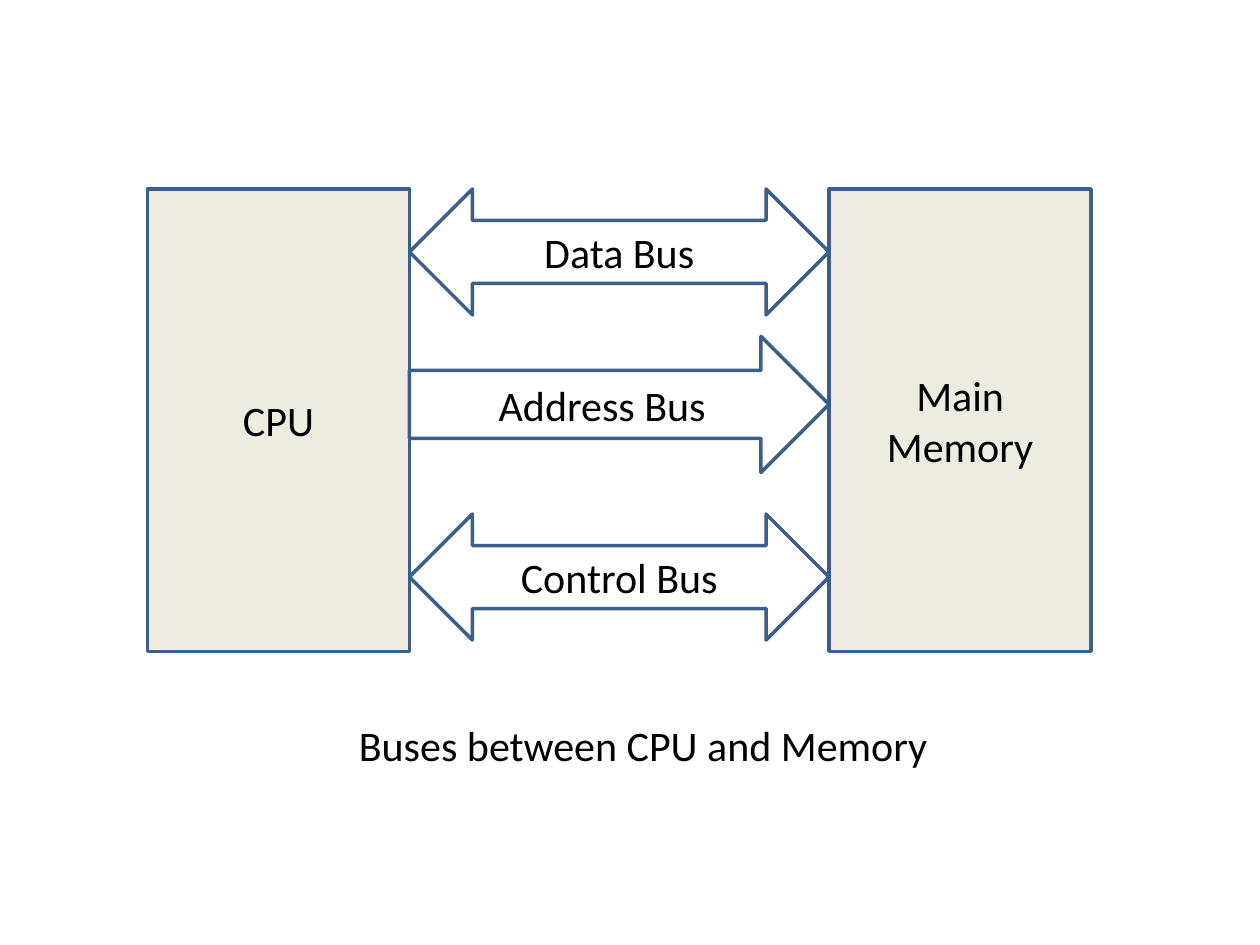
from pptx import Presentation
from pptx.dml.color import RGBColor
from pptx.enum.shapes import MSO_SHAPE as Preset
from pptx.enum.text import MSO_ANCHOR as Anchor, MSO_AUTO_SIZE as AutoSize, PP_ALIGN as Align
from pptx.util import Inches, Pt


def color(hex_string):
    return RGBColor.from_string(hex_string)


def write(shape, text, align=Align.CENTER, anchor=Anchor.MIDDLE, size=24, ink="000000"):
    frame = shape.text_frame
    frame.word_wrap = True
    frame.vertical_anchor = anchor
    paragraph = frame.paragraphs[0]
    paragraph.alignment = align
    run = paragraph.add_run()
    run.text = text
    run.font.name = "Calibri"
    run.font.size = Pt(size)
    run.font.color.rgb = color(ink)


presentation = Presentation()
presentation.slide_width = Inches(10)
presentation.slide_height = Inches(7.5)
slide = presentation.slides.add_slide(presentation.slide_layouts[6])

# Columns: CPU, buses, memory
top = 1.5
block_width, block_height, bus_width = 2.08, 3.67, 3.33
cpu_left = 1.17
bus_left = cpu_left + block_width
memory_left = bus_left + bus_width

# Blocks and the buses between them
parts = [
    ("CPU", Preset.RECTANGLE, cpu_left, top, block_width, block_height, "EEECE1"),
    ("Main Memory", Preset.RECTANGLE, memory_left, top, block_width, block_height, "EEECE1"),
    ("Data Bus", Preset.LEFT_RIGHT_ARROW, bus_left, top, bus_width, 1, "FFFFFF"),
    ("Control Bus", Preset.LEFT_RIGHT_ARROW, bus_left, 4.08, bus_width, 1, "FFFFFF"),
    ("Address Bus", Preset.RIGHT_ARROW, bus_left, 2.67, bus_width, 1.08, "FFFFFF"),
]
for label, preset, *box, fill in parts:
    shape = slide.shapes.add_shape(preset, *map(Inches, box))
    shape.shadow.inherit = False
    shape.fill.solid()
    shape.fill.fore_color.rgb = color(fill)
    shape.line.color.rgb = color("3A5F8C")
    shape.line.width = Pt(2)
    write(shape, label)

# Caption
caption = slide.shapes.add_textbox(*map(Inches, (2.75, 5.66, 5.17, 0.5)))
write(caption, "Buses between CPU and Memory", align=Align.LEFT, anchor=Anchor.TOP)
caption.text_frame.auto_size = AutoSize.SHAPE_TO_FIT_TEXT

presentation.save("out.pptx")
